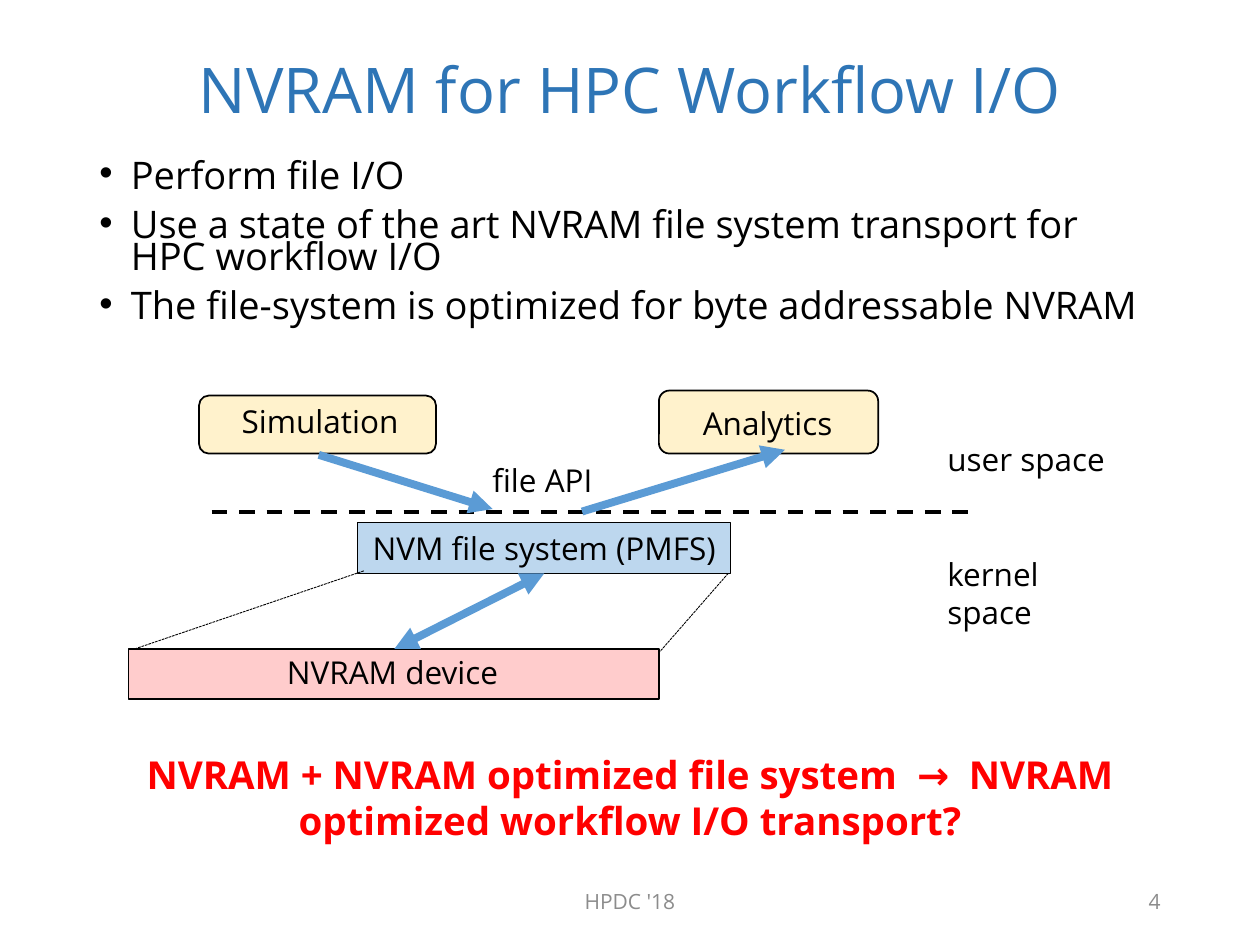
from dataclasses import dataclass

from lxml import etree
from pptx import Presentation
from pptx.dml.color import RGBColor
from pptx.enum.dml import MSO_LINE
from pptx.enum.shapes import MSO_CONNECTOR, MSO_SHAPE
from pptx.enum.text import MSO_ANCHOR, PP_ALIGN
from pptx.oxml.ns import qn
from pptx.util import Inches, Pt

LEFT, CENTER, RIGHT = PP_ALIGN.LEFT, PP_ALIGN.CENTER, PP_ALIGN.RIGHT
TOP, MIDDLE = MSO_ANCHOR.TOP, MSO_ANCHOR.MIDDLE
RECT, ROUND = MSO_SHAPE.RECTANGLE, MSO_SHAPE.ROUNDED_RECTANGLE
DASH, DOTS = MSO_LINE.DASH, MSO_LINE.SQUARE_DOT
STRAIGHT = MSO_CONNECTOR.STRAIGHT

CELL = 0.1  # grid of 100 columns by 75 rows, in inches
COLS, ROWS = 100, 75
EDGE = 6.9
BODY = COLS - 2 * EDGE


@dataclass(frozen=True)
class Theme:
    font: str = "Open Sans"
    ink: str = "000000"
    title: str = "2E75B6"
    muted: str = "8C8C8C"
    alert: str = "FF0000"
    arrow: str = "5B9BD5"
    app: str = "FFF2CC"
    system: str = "BDD7EE"
    device: str = "FFCCCC"
    head_size: float = 36
    list_size: float = 21.7
    claim_size: float = 22
    label_size: float = 18
    foot_size: float = 12


THEME = Theme()


def grid(*cells):
    return [Inches(cell * CELL) for cell in cells]


def shift(box, x, y, *size):
    """Move a place given relative to box onto the slide grid."""
    return (box[0] + x, box[1] + y, *size)


def style(para, size, color, align=LEFT, bold=False):
    para.alignment = align
    font = para.font
    font.name, font.size, font.bold = THEME.font, Pt(size), bold
    font.color.rgb = RGBColor.from_string(color)


def write(shape, text, size=THEME.label_size, color=THEME.ink,
          align=LEFT, anchor=TOP, bold=False):
    frame = shape.text_frame
    frame.word_wrap = True
    frame.vertical_anchor = anchor
    frame.text = text
    for para in frame.paragraphs:
        style(para, size, color, align, bold)
    return frame


def label(slide, box, text, **look):
    return write(slide.shapes.add_textbox(*grid(*box)), text, **look)


def block(slide, kind, box, fill, width=1):
    shape = slide.shapes.add_shape(kind, *grid(*box))
    shape.shadow.inherit = False
    shape.fill.solid()
    shape.fill.fore_color.rgb = RGBColor.from_string(fill)
    shape.line.color.rgb = RGBColor.from_string(THEME.ink)
    shape.line.width = Pt(width)
    return shape


def link(slide, start, end, color, width, dash=None, tips=()):
    line = slide.shapes.add_connector(STRAIGHT, *grid(*start, *end))
    etree.SubElement(line._element.spPr, qn("a:effectLst"))
    line.line.color.rgb = RGBColor.from_string(color)
    line.line.width = Pt(width)
    if dash:
        line.line.dash_style = dash
    for tip in tips:
        etree.SubElement(line.line._get_or_add_ln(), qn(tip), type="triangle")


def heading(slide, box):
    frame = label(slide, box, "NVRAM for HPC Workflow I/O", anchor=MIDDLE,
                  size=THEME.head_size, color=THEME.title, align=CENTER)
    frame.paragraphs[0].line_spacing = 0.9


def bullets(slide, box):
    points = [
        "Perform file I/O",
        "Use a state of the art NVRAM file system transport for "
        "HPC workflow I/O",
        "The file-system is optimized for byte addressable NVRAM",
    ]
    frame = slide.shapes.add_textbox(*grid(*box)).text_frame
    frame.word_wrap = True
    frame.text = "\n".join(points)
    for i, para in enumerate(frame.paragraphs):
        para.line_spacing = 0.7
        para.space_before = Pt(10 if i else 0)
        props = para._p.get_or_add_pPr()
        props.set("marL", str(Inches(0.25)))
        props.set("indent", str(-Inches(0.25)))
        etree.SubElement(props, qn("a:buFont"), typeface="Arial")
        etree.SubElement(props, qn("a:buChar"), char="•")
        style(para, THEME.list_size, THEME.ink)


def diagram(slide, box):
    def place(*cells):
        return shift(box, *cells)

    block(slide, RECT, place(0.2, 20.5, 42.1, 4), THEME.device)
    system = block(slide, RECT, place(18.4, 10.5, 29.6, 4),
                   THEME.system, 0.75)
    write(system, "NVM file system (PMFS)", align=CENTER)
    for spot in ((5.8, 0.4, 18.8, 4.6), (42.3, 0, 17.4, 5)):
        block(slide, ROUND, place(*spot), THEME.app)

    link(slide, place(6.8, 9.6), place(67.7, 9.6), THEME.ink, 2.25, DASH)

    to_end, both = ("a:tailEnd",), ("a:headEnd", "a:tailEnd")
    for start, end, tips in (
        ((21.3, 20.5), (33.2, 14.5), both),
        ((15.3, 5.1), (29.1, 9.4), to_end),
        ((36.2, 9.6), (52.3, 4.7), to_end),
    ):
        link(slide, place(*start), place(*end), THEME.arrow, 4.5, tips=tips)

    for start, end in (((0.7, 20.5), (18.9, 14.3)),
                       ((47.8, 14.5), (42.3, 20.8))):
        link(slide, place(*start), place(*end), THEME.ink, 0.5, DOTS)

    for text, x, y, width, align in (
        ("NVRAM device", 10.9, 20.3, 20.5, CENTER),
        ("kernel space", 64.2, 12.6, 16.5, LEFT),
        ("user space", 64.2, 3.4, 16.5, LEFT),
        ("Simulation", 8.2, 0.4, 15, LEFT),
        ("Analytics", 44.8, 0.6, 15, LEFT),
        ("file API", 24.7, 5.1, 16.7, CENTER),
    ):
        label(slide, place(x, y, width, 4), text, align=align)


def claim(slide, box):
    label(slide, box, "NVRAM + NVRAM optimized file system  →  "
          "NVRAM optimized workflow I/O transport?",
          size=THEME.claim_size, color=THEME.alert, align=CENTER, bold=True)


def footer(slide, box):
    width, height = box[2:]
    for text, x, wide, align in (("HPDC '18", 26.2, 33.8, CENTER),
                                 ("4", width - 22.5, 22.5, RIGHT)):
        label(slide, shift(box, x, 0, wide, height), text, anchor=MIDDLE,
              size=THEME.foot_size, color=THEME.muted, align=align)


def main():
    deck = Presentation()
    deck.slide_width, deck.slide_height = grid(COLS, ROWS)
    slide = deck.slides.add_slide(deck.slide_layouts[6])
    heading(slide, (EDGE, 4, BODY, 6.8))
    bullets(slide, (EDGE, 12.5, BODY, 17.3))
    diagram(slide, (10, 31, 81, 24.5))
    claim(slide, (EDGE, 59.1, BODY, 8.4))
    footer(slide, (EDGE, 69.5, BODY, 4))
    deck.save("out.pptx")


if __name__ == "__main__":
    main()
